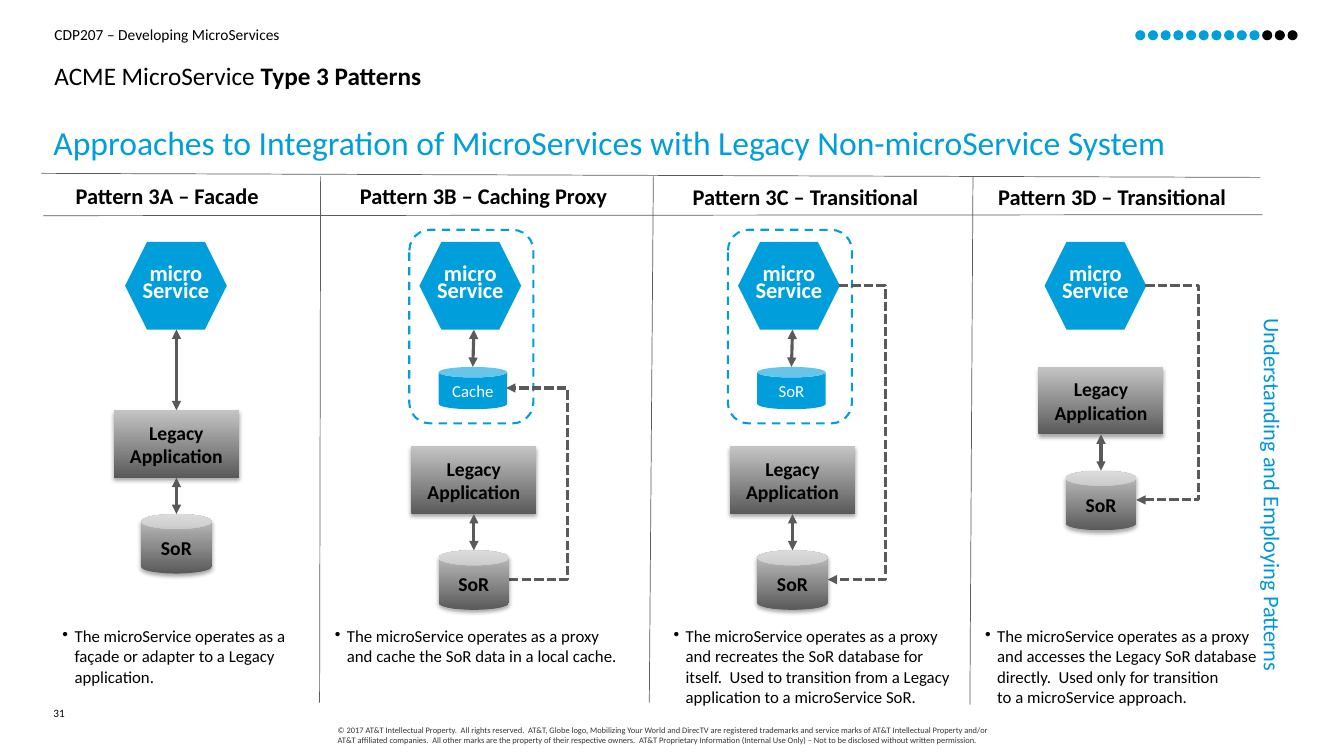
from dataclasses import dataclass
from typing import Optional

from lxml.etree import SubElement
from pptx import Presentation
from pptx.dml.color import RGBColor
from pptx.enum.dml import MSO_LINE
from pptx.enum.shapes import MSO_CONNECTOR, MSO_SHAPE
from pptx.enum.text import MSO_ANCHOR, PP_ALIGN
from pptx.oxml.ns import qn
from pptx.util import Inches, Pt


@dataclass(frozen=True)
class Theme:
    font: str = "Calibri"
    blue: str = "009FDB"
    side_blue: str = "0097DB"
    black: str = "000000"
    white: str = "FFFFFF"
    gray: str = "5A5A5A"
    light_gray: str = "C4C4C4"
    legal_gray: str = "343434"
    headline: int = 24
    title: int = 18
    heading: int = 16
    legacy: int = 14
    body: int = 12
    course: int = 11
    number: int = 8
    legal: int = 6


@dataclass(frozen=True)
class Route:
    """Dashed elbow arrow between two components."""
    start: tuple[float, float]
    end: tuple[float, float]
    bend: float


@dataclass(frozen=True)
class Pattern:
    heading: str
    heading_box: tuple[float, float, float]  # left, top, width
    service_left: float
    axis: float
    legacy_top: float
    note_left: float
    note_width: float
    note: tuple[str, ...]
    store: Optional[str] = None
    route: Optional[Route] = None


THEME = Theme()
PATTERNS = [
    Pattern("Pattern 3A – Facade", (0.75, 1.81, 1.85), 1.24, 1.75, 4.07, 0.62, 2.64,
            ("The microService operates as a façade or adapter to a Legacy application.",)),
    Pattern("Pattern 3B – Caching Proxy", (3.57, 1.81, 2.49), 4.16, 4.7, 4.43, 3.32, 2.85,
            ("The microService operates as a proxy and cache the SoR data in a local cache.",),
            "Cache", Route((5.05, 5.75), (5.02, 3.85), 5.63)),
    Pattern("Pattern 3C – Transitional", (6.87, 1.82, 2.27), 7.32, 7.86, 4.43, 6.68, 2.85,
            ("The microService operates as a proxy and recreates the SoR database for itself.  "
             "Used to transition from a Legacy application to a microService SoR.",),
            "SoR", Route((8.32, 2.83), (8.21, 5.75), 8.78)),
    Pattern("Pattern 3D – Transitional", (9.9, 1.82, 2.29), 10.36, 10.92, 3.64, 9.77, 2.72,
            ("The microService operates as a proxy and accesses the Legacy SoR database "
             "directly.  Used only for transition", "to a microService approach."),
            route=Route((11.36, 2.83), (11.27, 4.96), 11.89)),
]
RULES = [
    ((3.18, 1.75), (3.17, 6.97)), ((6.48, 1.75), (6.44, 6.97)), ((9.65, 1.75), (9.62, 6.99)),
    ((0.41, 1.72), (12.5, 1.76)), ((0.43, 2.14), (12.52, 2.13)),
]
LEGAL = ("© 2017 AT&T Intellectual Property.  All rights reserved.  AT&T, Globe logo, Mobilizing "
         "Your World and DirecTV are registered trademarks and service marks of AT&T Intellectual "
         "Property and/or AT&T affiliated companies.  All other marks are the property of their "
         "respective owners.  AT&T Proprietary Information (Internal Use Only) – Not to be "
         "disclosed without written permission.")
MARGINS = ("margin_left", "margin_top", "margin_right", "margin_bottom")

presentation = Presentation()
presentation.slide_width, presentation.slide_height = Inches(13.33), Inches(7.5)
slide = presentation.slides.add_slide(presentation.slide_layouts[6])


def apply(target: object, values: dict) -> None:
    for name, value in values.items():
        setattr(target, name, value)


def write(shape, lines, size: int, color: str = THEME.black, bold: bool = False,
          wrap: bool = True, bullet: bool = False, **layout) -> None:
    """Fill a shape with paragraphs, each a string or a list of (text, bold) runs."""
    frame = shape.text_frame
    apply(frame, {"word_wrap": wrap, **dict.fromkeys(MARGINS, 0)})
    for index, line in enumerate(lines):
        paragraph = frame.paragraphs[0] if index == 0 else frame.add_paragraph()
        apply(paragraph, layout)
        if bullet:
            properties = paragraph._p.get_or_add_pPr()
            properties.set("marL", str(Inches(0.12)))
            properties.set("indent", str(-Inches(0.12) if index == 0 else 0))
            if index == 0:
                SubElement(properties, qn("a:buChar"), char="•")
        for text, run_bold in [(line, bold)] if isinstance(line, str) else line:
            run = paragraph.add_run()
            run.text = text
            apply(run.font, {"name": THEME.font, "size": Pt(size), "bold": run_bold})
            run.font.color.rgb = RGBColor.from_string(color)


def add_text(box: tuple, lines, size: int, **options):
    shape = slide.shapes.add_textbox(*map(Inches, box))
    write(shape, lines, size, **options)
    return shape


def add_block(kind, box: tuple, fill: Optional[str] = None):
    shape = slide.shapes.add_shape(kind, *map(Inches, box))
    shape.shadow.inherit = False
    shape.line.fill.background()
    shape.text_frame.vertical_anchor = MSO_ANCHOR.MIDDLE
    if fill:
        shape.fill.solid()
        shape.fill.fore_color.rgb = RGBColor.from_string(fill)
    else:
        shape.fill.background()
    return shape


def add_legacy_block(kind, box: tuple, label: str) -> None:
    """Gray gradient component with a soft shadow below it."""
    shape = add_block(kind, box)
    shape.fill.gradient()
    shape.fill.gradient_angle = 90
    for stop, position, color in zip(shape.fill.gradient_stops, (0, 1),
                                     (THEME.gray, THEME.light_gray)):
        stop.position = position
        stop.color.rgb = RGBColor.from_string(color)
    effects = shape._element.spPr.find(qn("a:effectLst"))
    shadow = SubElement(effects, qn("a:outerShdw"), blurRad=str(Pt(3.1)), dist=str(Pt(1.8)),
                        dir="5400000", rotWithShape="0")
    shadow_color = SubElement(shadow, qn("a:srgbClr"), val=THEME.black)
    SubElement(shadow_color, qn("a:alpha"), val="35000")
    write(shape, [label], THEME.legacy, bold=True, alignment=PP_ALIGN.CENTER)


def add_line(start: tuple, end: tuple, width: float = 2.25, arrows: tuple = (),
             bend: Optional[float] = None) -> None:
    kind = MSO_CONNECTOR.STRAIGHT if bend is None else MSO_CONNECTOR.ELBOW
    connector = slide.shapes.add_connector(kind, *map(Inches, (*start, *end)))
    connector.line.color.rgb = RGBColor.from_string(THEME.gray)
    connector.line.width = Pt(width)
    properties = connector._element.spPr
    if bend is not None:
        connector.line.dash_style = MSO_LINE.SQUARE_DOT
        ratio = round((bend - start[0]) / (end[0] - start[0]) * 100000)
        guides = properties.find(qn("a:prstGeom")).get_or_add_avLst()
        SubElement(guides, qn("a:gd"), name="adj1", fmla=f"val {ratio}")
    for arrow in arrows:
        SubElement(connector.line._get_or_add_ln(), qn(f"a:{arrow}"), type="triangle")
    SubElement(properties, qn("a:effectLst"))


def draw_pattern(pattern: Pattern) -> None:
    both = ("headEnd", "tailEnd")
    axis, left, top = pattern.axis, pattern.service_left, pattern.legacy_top
    add_text((*pattern.heading_box, 0.27), [pattern.heading], THEME.heading, bold=True, wrap=False)
    service = add_block(MSO_SHAPE.HEXAGON, (left, 2.4, 1.01, 0.87), THEME.blue)
    write(service, ["micro", "Service"], THEME.heading, THEME.white, bold=True,
          alignment=PP_ALIGN.CENTER, line_spacing=Pt(12))

    # Local store inside the service boundary
    if pattern.store:
        store = add_block(MSO_SHAPE.CAN, (axis - 0.35, 3.64, 0.68, 0.42), THEME.blue)
        write(store, [pattern.store], THEME.body, THEME.white, alignment=PP_ALIGN.CENTER)
        add_line((axis, 3.27), (axis - 0.01, 3.64), arrows=both)
        boundary = add_block(MSO_SHAPE.ROUNDED_RECTANGLE, (left - 0.1, 2.28, 1.23, 1.92))
        boundary.line.color.rgb = RGBColor.from_string(THEME.blue)
        apply(boundary.line, {"width": Pt(1.5), "dash_style": MSO_LINE.DASH})

    # Legacy application and its system of record
    if pattern.route:
        add_line(pattern.route.start, pattern.route.end, arrows=("tailEnd",),
                 bend=pattern.route.bend)
    else:
        add_line((axis, 3.27), (axis, top), arrows=both)
    add_legacy_block(MSO_SHAPE.RECTANGLE, (axis - 0.62, top, 1.24, 0.67), "Legacy Application")
    add_legacy_block(MSO_SHAPE.CAN, (axis - 0.35, top + 1.03, 0.7, 0.59), "SoR")
    add_line((axis, top + 0.67), (axis, top + 1.03), arrows=both)
    add_text((pattern.note_left, 6.21, pattern.note_width, 0.79), pattern.note, THEME.body,
             bullet=True)


# Header and footer
add_text((0.54, 0.25, 10, 0.2), ["CDP207 – Developing MicroServices"], THEME.course)
add_text((0.54, 0.57, 12.26, 0.37), [[("ACME MicroService ", False), ("Type 3 Patterns", True)]],
         THEME.title, line_spacing=1.1)
add_text((0.53, 1.25, 12.8, 0.4),
         ["Approaches to Integration of MicroServices with Legacy Non-microService System"],
         THEME.headline, color=THEME.blue, line_spacing=0.9)
add_text((3.35, 7.19, 6.64, 0.24), [LEGAL], THEME.legal, color=THEME.legal_gray)
add_text((0.53, 7, 0.32, 0.25), ["31"], THEME.number, line_spacing=Pt(10))

# Column rules and patterns
for rule_start, rule_end in RULES:
    add_line(rule_start, rule_end, width=0.5)
for item in PATTERNS:
    draw_pattern(item)

# Vertical section name
section = add_text((10.62, 4.57, 4, 0.37), ["Understanding and Employing Patterns"],
                   THEME.heading, color=THEME.side_blue, alignment=PP_ALIGN.RIGHT)
section.rotation = 90
apply(section.text_frame, dict(zip(MARGINS, map(Inches, (0.1, 0.05, 0.1, 0.05)))))

# Progress dots
for dot in range(13):
    add_block(MSO_SHAPE.OVAL, (11.26 + dot * 1.51 / 12, 0.3, 0.1, 0.1),
              THEME.blue if dot < 10 else THEME.black)

presentation.save("out.pptx")
